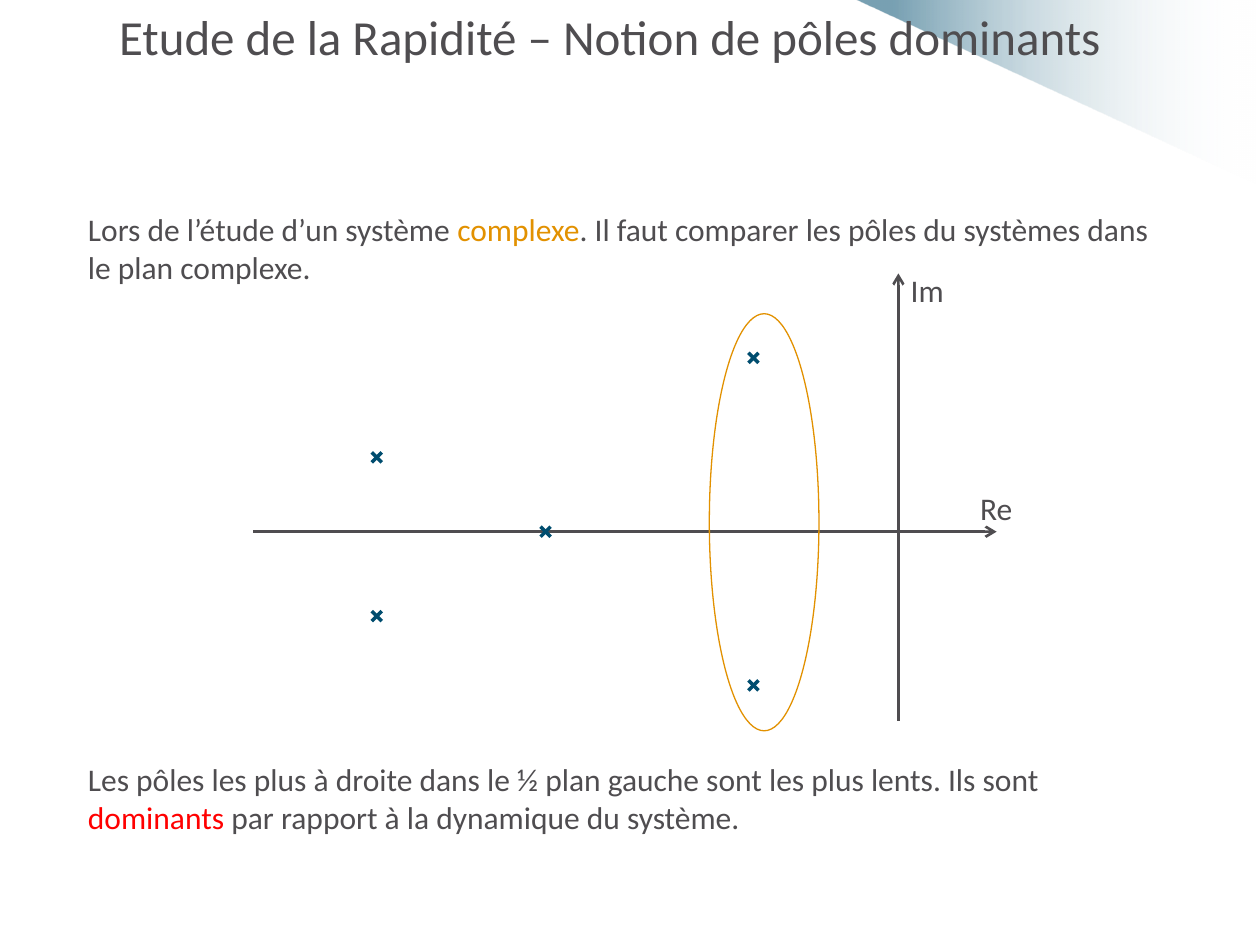
from lxml import etree
from pptx import Presentation
from pptx.dml.color import RGBColor
from pptx.enum import shapes, text
from pptx.oxml import ns
from pptx.util import Inches, Pt

GREY = RGBColor(0x4F, 0x4D, 0x50)
BLUE = RGBColor(0x00, 0x4D, 0x6F)
GOLD = RGBColor(0xE2, 0x91, 0x00)
RED = RGBColor(0xFF, 0x00, 0x00)
WHITE = RGBColor(0xFF, 0xFF, 0xFF)

POLES = [(4.33, 4.22), (2.99, 3.63), (2.99, 4.89), (5.98, 2.84), (5.98, 5.44)]
ARM = 0.04


def child(node, tag, **attrs):
    return etree.SubElement(node, ns.qn(tag), **attrs)


def write(para, runs, size=18, align=text.PP_ALIGN.LEFT, before=0):
    """Fill a paragraph with (words, colour) runs."""
    para.alignment = align
    para.space_before = Pt(before)
    for words, color in runs:
        run = para.add_run()
        run.text = words
        run.font.name = "Calibri"
        run.font.size = Pt(size)
        run.font.color.rgb = color


class Board:
    font_size = 18

    def __init__(self, slide):
        self.slide = slide
        self.shapes = slide.shapes

    def label(self, left, top, width, height, *paras, **form):
        """Add a text box; each paragraph is a (runs, format) pair."""
        box = self.shapes.add_textbox(*map(Inches, (left, top, width, height)))
        frame = box.text_frame
        frame.word_wrap = True
        for i, (runs, own) in enumerate(paras):
            para = frame.add_paragraph() if i else frame.paragraphs[0]
            write(para, runs, **{"size": self.font_size, **form, **own})

    def line(self, start, end, color, width, arrow=False):
        link = self.shapes.add_connector(
            shapes.MSO_CONNECTOR.STRAIGHT, *map(Inches, (*start, *end)))
        link.line.color.rgb = color
        link.line.width = Pt(width)
        if arrow:
            child(link.line._get_or_add_ln(), "a:tailEnd", type="arrow")
        child(link._element.spPr, "a:effectLst")

    def cross(self, x, y):
        for rise in (ARM, -ARM):
            self.line((x - ARM, y + rise), (x + ARM, y - rise), BLUE, 2)

    def ring(self, left, top, width, height, color):
        oval = self.shapes.add_shape(
            shapes.MSO_SHAPE.OVAL, *map(Inches, (left, top, width, height)))
        oval.shadow.inherit = False
        oval.fill.background()
        oval.line.color.rgb = color
        oval.line.width = Pt(0.75)

    def wedge(self, first, *rest):
        """Add an outline that fades from blue to clear, left to right."""
        pen = self.shapes.build_freeform(*map(Inches, first))
        pen.add_line_segments([tuple(map(Inches, p)) for p in rest])
        shape = pen.convert_to_shape()
        shape.shadow.inherit = False
        shape.line.fill.background()
        shape.fill.gradient()
        shape.fill.gradient_angle = 0
        stops = shape.fill.gradient_stops
        for stop, color, place in zip(stops, (BLUE, WHITE), (0.09, 0.99)):
            stop.color.rgb = color
            stop.position = place
        tints = shape._element.spPr.iter(ns.qn("a:srgbClr"))
        for tint, alpha in zip(tints, ("53000", "0")):
            child(tint, "a:alpha", val=alpha)


def main():
    deck = Presentation()
    deck.slide_width, deck.slide_height = Inches(10), Inches(7.5)
    board = Board(deck.slides.add_slide(deck.slide_layouts[6]))

    board.wedge((6.79, 0), (10, 0), (9.99, 1.47))
    title = [("Etude de la Rapidité – Notion de pôles dominants", GREY)]
    board.label(0.59, 0, 8.5, 1.25, (title, {}),
                size=28, align=text.PP_ALIGN.CENTER)

    intro = [("Lors de l’étude d’un système ", GREY), ("complexe", GOLD),
             (". Il faut comparer les pôles du systèmes dans le plan complexe.",
              GREY)]
    result = [("Les pôles les plus à droite dans le ½ plan gauche sont les plus"
               " lents. Ils sont ", GREY), ("dominants", RED),
              (" par rapport à la dynamique du système.", GREY)]
    board.label(0.6, 1.62, 8.66, 6.02, (intro, {}), (result, {"before": 271}))

    board.line((7.13, 5.72), (7.13, 2.17), GREY, 1.5, arrow=True)
    board.line((2.01, 4.22), (7.91, 4.22), GREY, 1.5, arrow=True)
    for name, left, top in (("Im", 7.13, 2.1), ("Re", 7.68, 3.83)):
        board.label(left, top, 0.87, 0.43, ([(name, GREY)], {}))

    for pole in POLES:
        board.cross(*pole)
    board.ring(5.63, 2.49, 0.87, 3.31, GOLD)

    deck.save("out.pptx")


if __name__ == "__main__":
    main()
